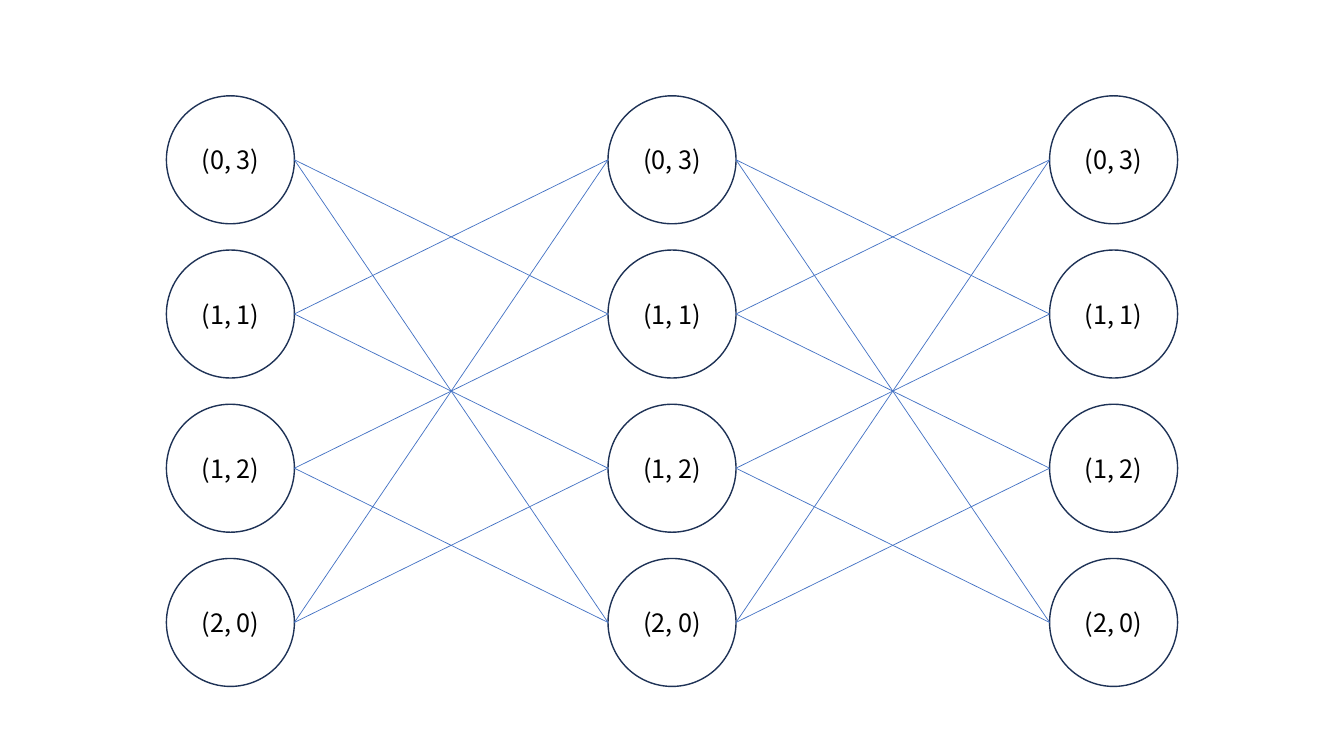
import itertools

import pptx
import pptx.dml.color
import pptx.enum.shapes
import pptx.enum.text
import pptx.oxml.ns
import pptx.util
from lxml import etree

COLORS = {"outline": "1E3256", "link": "4472C4", "label": "000000"}
FONT = "Noto Sans CJK KR"
STATES = ["(0, 3)", "(1, 1)", "(1, 2)", "(2, 0)"]
LAYERS = 3

presentation = pptx.Presentation()
presentation.slide_width = pptx.util.Inches(13.33)
presentation.slide_height = pptx.util.Inches(7.5)
COLUMN = presentation.slide_width / 100
ROW = presentation.slide_height / 100
DIAMETER = 16.93 * ROW


def color(name):
    """Return the palette colour with this name."""
    return pptx.dml.color.RGBColor.from_string(COLORS[name])


def state_centers(top, height):
    """Spread the centres of the states evenly down a box."""
    pitch = (height - DIAMETER) / (len(STATES) - 1)
    return [top + DIAMETER / 2 + index * pitch for index in range(len(STATES))]


def add_layer(slide, left, top, height):
    """Stack one circle per state down a box."""
    for label, center in zip(STATES, state_centers(top, height)):
        state = slide.shapes.add_shape(
            pptx.enum.shapes.MSO_SHAPE.OVAL,
            int(left), int(center - DIAMETER / 2), int(DIAMETER), int(DIAMETER))
        state.shadow.inherit = False
        state.fill.background()
        state.line.color.rgb = color("outline")
        state.line.width = pptx.util.Pt(1)
        frame = state.text_frame
        frame.text = label
        frame.vertical_anchor = pptx.enum.text.MSO_ANCHOR.MIDDLE
        paragraph = frame.paragraphs[0]
        paragraph.alignment = pptx.enum.text.PP_ALIGN.CENTER
        font = paragraph.runs[0].font
        font.size = pptx.util.Pt(18)
        font.color.rgb = color("label")
        font.name = FONT
        east_asian = etree.SubElement(font._element, pptx.oxml.ns.qn("a:ea"))
        east_asian.set("typeface", FONT)


def add_transitions(slide, left, top, width, height):
    """Link states an odd number of rows apart across a box."""
    centers = state_centers(top, height)
    for source, target in itertools.product(range(len(STATES)), repeat=2):
        if (source + target) % 2 == 0:
            continue
        transition = slide.shapes.add_connector(
            pptx.enum.shapes.MSO_CONNECTOR.STRAIGHT,
            int(left), int(centers[source]),
            int(left + width), int(centers[target]))
        transition.line.color.rgb = color("link")
        transition.line.width = pptx.util.Pt(0.5)
        etree.SubElement(transition._element.spPr, pptx.oxml.ns.qn("a:effectLst"))


def add_trellis(slide, left, top, width, height):
    """Fill a box with equally spaced layers and the transitions between them."""
    pitch = (width - DIAMETER) / (LAYERS - 1)
    for layer in range(LAYERS):
        layer_left = left + layer * pitch
        add_layer(slide, layer_left, top, height)
        if layer:
            add_transitions(slide, layer_left - pitch + DIAMETER, top,
                            pitch - DIAMETER, height)


trellis_slide = presentation.slides.add_slide(presentation.slide_layouts[6])
add_trellis(trellis_slide, 12.38 * COLUMN, 12.67 * ROW, 75.24 * COLUMN, 78.13 * ROW)
presentation.save("out.pptx")
